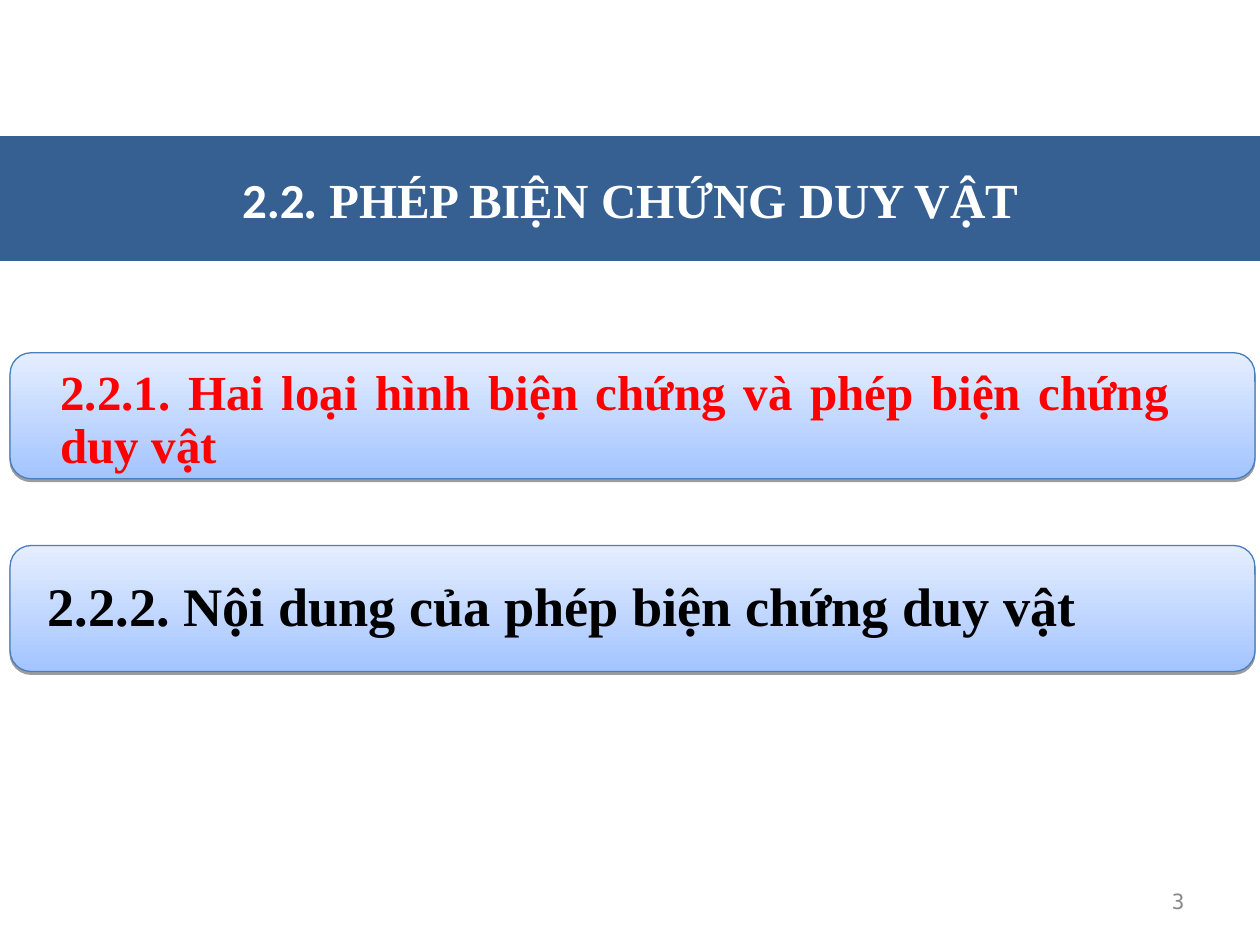
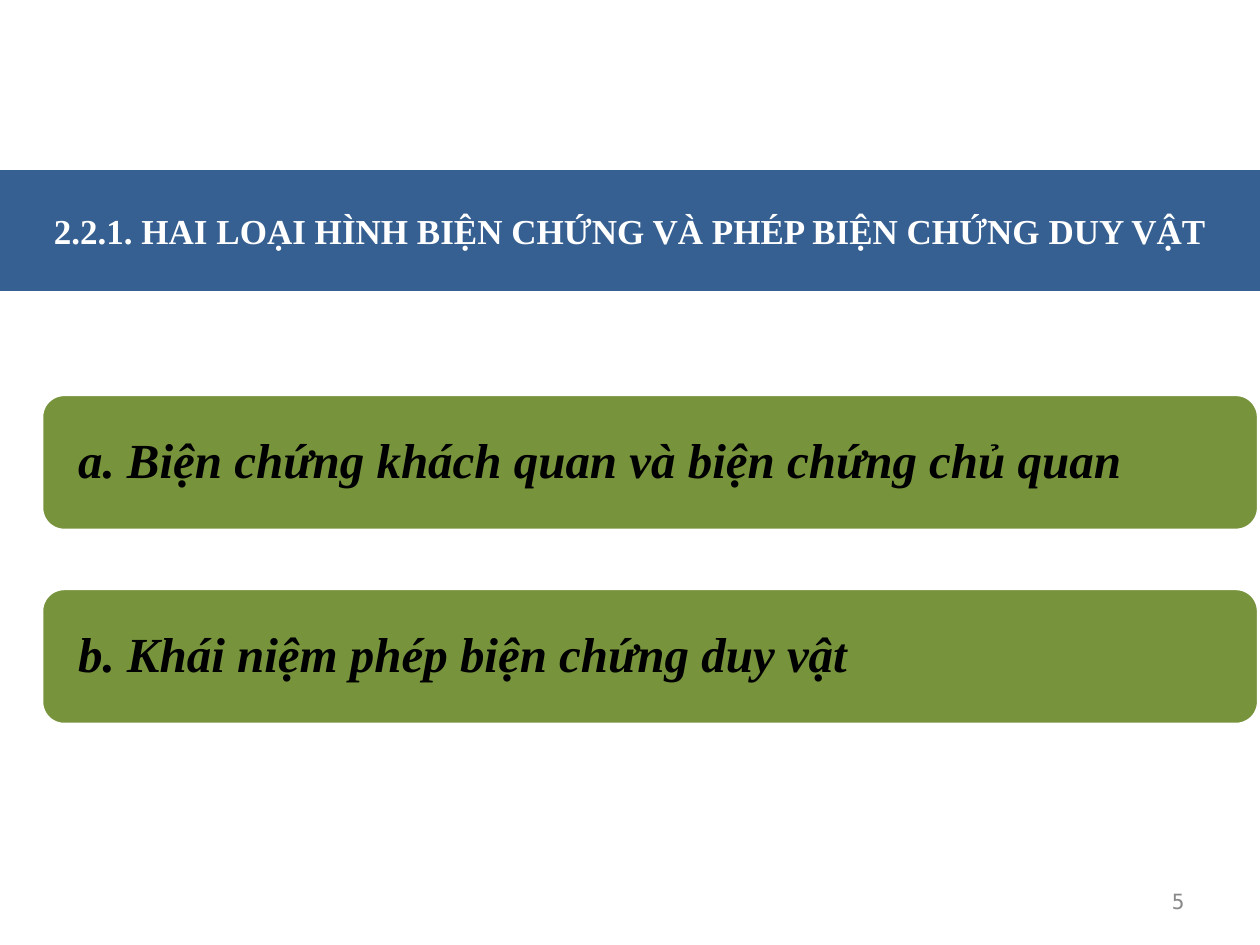
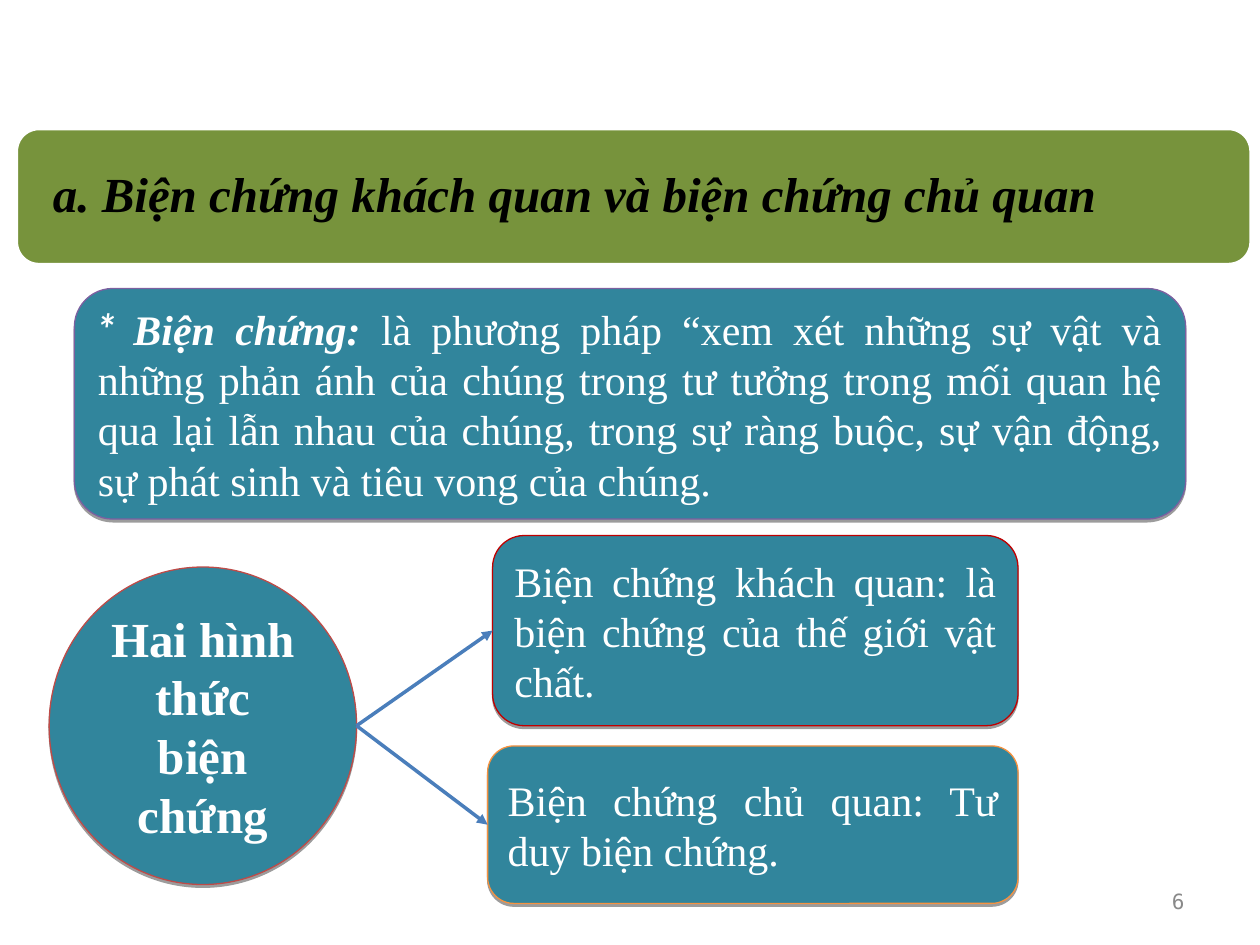
"""Build three slides on materialist dialectics."""
import pptx
import pptx.dml.color
import pptx.enum.shapes
import pptx.enum.text
import pptx.oxml
import pptx.oxml.ns
import pptx.util
from pptx.util import Inches, Pt

SHAPE = pptx.enum.shapes.MSO_SHAPE
ALIGN = pptx.enum.text.PP_ALIGN
NS = pptx.oxml.ns.nsdecls("a")
SERIF = "Times New Roman"
NAVY, GREEN, TEAL, BLUE = "376092", "77933C", "31859C", "4A7EBB"
WHITE, BLACK, RED, GREY = "FFFFFF", "000000", "FF0000", "898989"
SHADOW = (f'<a:outerShdw {NS} blurRad="0" dist="20000" dir="5400000" rotWithShape="0">'
          '<a:srgbClr val="000000"><a:alpha val="38000"/></a:srgbClr></a:outerShdw>')
PANEL = {"alignment": ALIGN.LEFT, "line_spacing": 0.9, "space_after": Pt(12.2)}
JUSTIFY = {"alignment": ALIGN.JUSTIFY}
CENTER = {"alignment": ALIGN.CENTER}


def rgb(value):
    return pptx.dml.color.RGBColor.from_string(value)


def add_box(s, at, kind=None, fill=None, line=None, width=0.75, shadow=False,
            runs=(), para=CENTER, inset=(0.1, 0.05)):
    at = [Inches(v) for v in at]
    if kind is None:
        sp = s.shapes.add_textbox(*at)
    else:
        sp = s.shapes.add_shape(kind, *at)
        if isinstance(fill, tuple):
            sp.fill.gradient()
            sp.fill.gradient_angle = 90
            for stop, color in zip(sp.fill.gradient_stops, fill):
                stop.color.rgb = rgb(color)
        else:
            sp.fill.solid()
            sp.fill.fore_color.rgb = rgb(fill)
        if line:
            sp.line.color.rgb = rgb(line)
            sp.line.width = Pt(width)
        else:
            sp.line.fill.background()
        sp.shadow.inherit = False
        if shadow:
            effects = sp._element.spPr.find(pptx.oxml.ns.qn("a:effectLst"))
            effects.append(pptx.oxml.parse_xml(SHADOW))
    if not runs:
        return sp
    tf = sp.text_frame
    x, y = (Inches(v) for v in inset)
    frame = {"word_wrap": True, "vertical_anchor": pptx.enum.text.MSO_ANCHOR.MIDDLE,
             "margin_left": x, "margin_right": x, "margin_top": y, "margin_bottom": y}
    for name, value in frame.items():
        setattr(tf, name, value)
    p = tf.paragraphs[0]
    for name, value in para.items():
        setattr(p, name, value)
    for text, size, color, font, bold, italic in runs:
        r = p.add_run()
        r.text = text
        style = {"name": font, "size": Pt(size), "bold": bold, "italic": italic}
        for name, value in style.items():
            setattr(r.font, name, value)
        r.font.color.rgb = rgb(color)
    return sp


prs = pptx.Presentation()
prs.slide_width, prs.slide_height = Inches(10), Inches(7.5)
slides = [prs.slides.add_slide(prs.slide_layouts[6]) for _ in range(3)]

s = slides[0]
add_box(s, (0, 1.08, 10, 0.99), SHAPE.RECTANGLE, NAVY, runs=[
    ("2.2", 28, WHITE, "Calibri", True, False),
    (". PHÉP BIỆN CHỨNG DUY VẬT", 28, WHITE, SERIF, True, False)])
sections = [
    (2.8, (0.25, 2.89, 9.26, 0.9), "2.2.1. Hai loại hình biện chứng và phép biện chứng duy vật",
     28, RED, JUSTIFY),
    (4.33, (0.15, 4.38, 9.76, 0.9), "2.2.2. Nội dung của phép biện chứng duy vật",
     31, BLACK, {"space_after": Pt(13.5)}),
]
for top, text_at, text, size, color, para in sections:
    add_box(s, (0.08, top, 9.88, 1), SHAPE.ROUNDED_RECTANGLE, ("A3C4FF", "E5EEFF"), BLUE, shadow=True)
    add_box(s, text_at, runs=[(text, size, color, SERIF, True, False)],
            para={**PANEL, **para}, inset=(0.23, 0))

s = slides[1]
add_box(s, (0, 1.35, 10, 0.96), SHAPE.RECTANGLE, NAVY, runs=[
    ("2.2.1. HAI LOẠI HÌNH BIỆN CHỨNG VÀ PHÉP BIỆN CHỨNG DUY VẬT", 20, WHITE, SERIF, True, False)])

objective = "a. Biện chứng khách quan và biện chứng chủ quan"
panels = [
    (slides[1], 0.33, 3.13, 9.66, objective),
    (slides[1], 0.33, 4.67, 9.66, "b. Khái niệm phép biện chứng duy vật"),
    (slides[2], 0.13, 1.02, 9.8, objective),
]
for s, left, top, width, text in panels:
    add_box(s, (left, top, width, 1.08), SHAPE.ROUNDED_RECTANGLE, GREEN, WHITE, 2)
    add_box(s, (left + 0.05, top + 0.05, width - 0.1, 0.98),
            runs=[(text, 28, BLACK, SERIF, True, True)], para=PANEL, inset=(0.24, 0))

s = slides[2]
add_box(s, (0.59, 2.29, 8.82, 1.83), SHAPE.ROUNDED_RECTANGLE, TEAL, "7D60A0", shadow=True, para=JUSTIFY, runs=[
    ("* ", 24, WHITE, "Lato", True, True),
    ("Biện chứng: ", 24, WHITE, SERIF, True, True),
    ("là phương pháp “xem xét những sự vật và những phản ánh của chúng trong tư tưởng "
     "trong mối quan hệ qua lại lẫn nhau của chúng, trong sự ràng buộc, sự vận động, "
     "sự phát sinh và tiêu vong của chúng.", 24, WHITE, SERIF, False, False)])
add_box(s, (0.39, 4.5, 2.44, 2.52), SHAPE.OVAL, TEAL, "BE4B48", shadow=True,
        runs=[("Hai hình thức biện chứng", 28, WHITE, SERIF, True, False)])
forms = [
    ((3.91, 4.25, 4.17, 1.51), "C00000", "Biện chứng khách quan: là biện chứng của thế giới vật chất."),
    ((3.87, 5.92, 4.21, 1.25), "F69240", "Biện chứng chủ quan: Tư duy biện chứng."),
]
for at, line, text in forms:
    sp = add_box(s, at, SHAPE.ROUNDED_RECTANGLE, TEAL, line, shadow=True,
                 runs=[(text, 24, WHITE, SERIF, False, False)],
                 para={**JUSTIFY, "space_before": Pt(6)})
    arrow = s.shapes.add_connector(pptx.enum.shapes.MSO_CONNECTOR.STRAIGHT, Inches(2.83), Inches(5.76),
                                   Inches(at[0]), Inches(at[1] + at[3] / 2))
    arrow.end_connect(sp, 1)
    arrow.line.color.rgb = rgb(BLUE)
    arrow.line.width = Pt(2)
    arrow.line._get_or_add_ln().append(pptx.oxml.parse_xml(f'<a:tailEnd {NS} type="triangle"/>'))
    arrow._element.spPr.append(pptx.oxml.parse_xml(f"<a:effectLst {NS}/>"))

for s, number in zip(slides, ("3", "5", "6")):
    add_box(s, (7.17, 6.95, 2.33, 0.4), para={"alignment": ALIGN.RIGHT},
            runs=[(number, 12, GREY, "DejaVu Sans Mono", False, False)])

prs.save("out.pptx")
